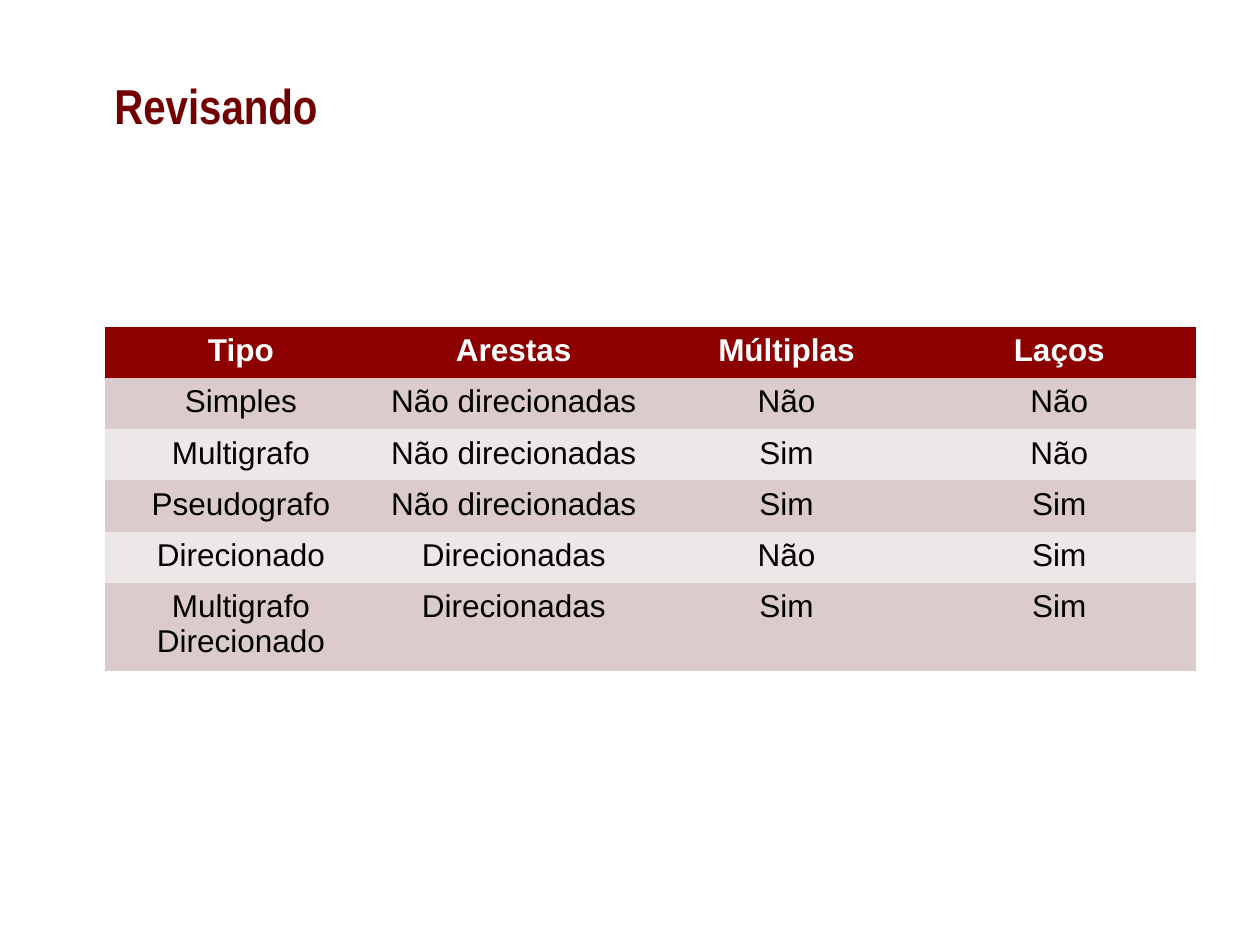
import pptx
import pptx.util
import pptx.dml.color
import pptx.enum.text
from dataclasses import dataclass

WIDE, HIGH = 10, 7.5
PLAIN = "{2D5ABB26-0587-4C30-8999-92F81FD0307C}"
ROWS = [
    ("Tipo", "Arestas", "Múltiplas", "Laços"),
    ("Simples", "Não direcionadas", "Não", "Não"),
    ("Multigrafo", "Não direcionadas", "Sim", "Não"),
    ("Pseudografo", "Não direcionadas", "Sim", "Sim"),
    ("Direcionado", "Direcionadas", "Não", "Sim"),
    ("Multigrafo Direcionado", "Direcionadas", "Sim", "Sim"),
]


@dataclass(frozen=True)
class Theme:
    title: str = "720000"
    head: str = "8C0000"
    bands: tuple = ("DBCBCB", "EEE7E7")
    light: str = "FFFFFF"
    dark: str = "000000"
    big: int = 28
    body: int = 18
    slim: str = "Arial Narrow"
    sans: str = "Arial"


THEME = Theme()


def inch(size):
    return pptx.util.Inches(size)


def color(code):
    return pptx.dml.color.RGBColor.from_string(code)


def write(frame, text, *, size=THEME.body, face=THEME.sans, ink=THEME.dark,
          bold=False, align="LEFT"):
    line = frame.paragraphs[0]
    line.text = text
    line.alignment = getattr(pptx.enum.text.PP_ALIGN, align)
    font = line.runs[0].font
    font.size = pptx.util.Pt(size)
    font.name = face
    font.bold = bold
    font.color.rgb = color(ink)


def add_title(slide, text):
    box = slide.shapes.add_textbox(
        inch(0.081 * WIDE), inch(0.028 * HIGH), inch(0.797 * WIDE), inch(HIGH / 6))
    frame = box.text_frame
    frame.word_wrap = True
    frame.vertical_anchor = pptx.enum.text.MSO_ANCHOR.MIDDLE
    write(frame, text, size=THEME.big, face=THEME.slim, ink=THEME.title, bold=True)


def add_grid(slide, rows):
    step, last = 0.406, 0.7
    high = step * (len(rows) - 1) + last
    shape = slide.shapes.add_table(
        len(rows), len(rows[0]), inch(0.083 * WIDE), inch(0.346 * HIGH),
        inch(0.866 * WIDE), inch(high))
    grid = shape.table
    grid._tbl.tblPr[0].text = PLAIN
    for r, texts in enumerate(rows):
        head = r == 0
        grid.rows[r].height = inch(last if r == len(rows) - 1 else step)
        for c, text in enumerate(texts):
            cell = grid.cell(r, c)
            cell.fill.solid()
            fill = THEME.head if head else THEME.bands[(r - 1) % 2]
            cell.fill.fore_color.rgb = color(fill)
            write(cell.text_frame, text, bold=head, align="CENTER",
                  ink=THEME.light if head else THEME.dark)


def main():
    deck = pptx.Presentation()
    deck.slide_width, deck.slide_height = inch(WIDE), inch(HIGH)
    slide = deck.slides.add_slide(deck.slide_layouts[6])
    add_title(slide, "Revisando")
    add_grid(slide, ROWS)
    deck.save("out.pptx")


if __name__ == "__main__":
    main()
